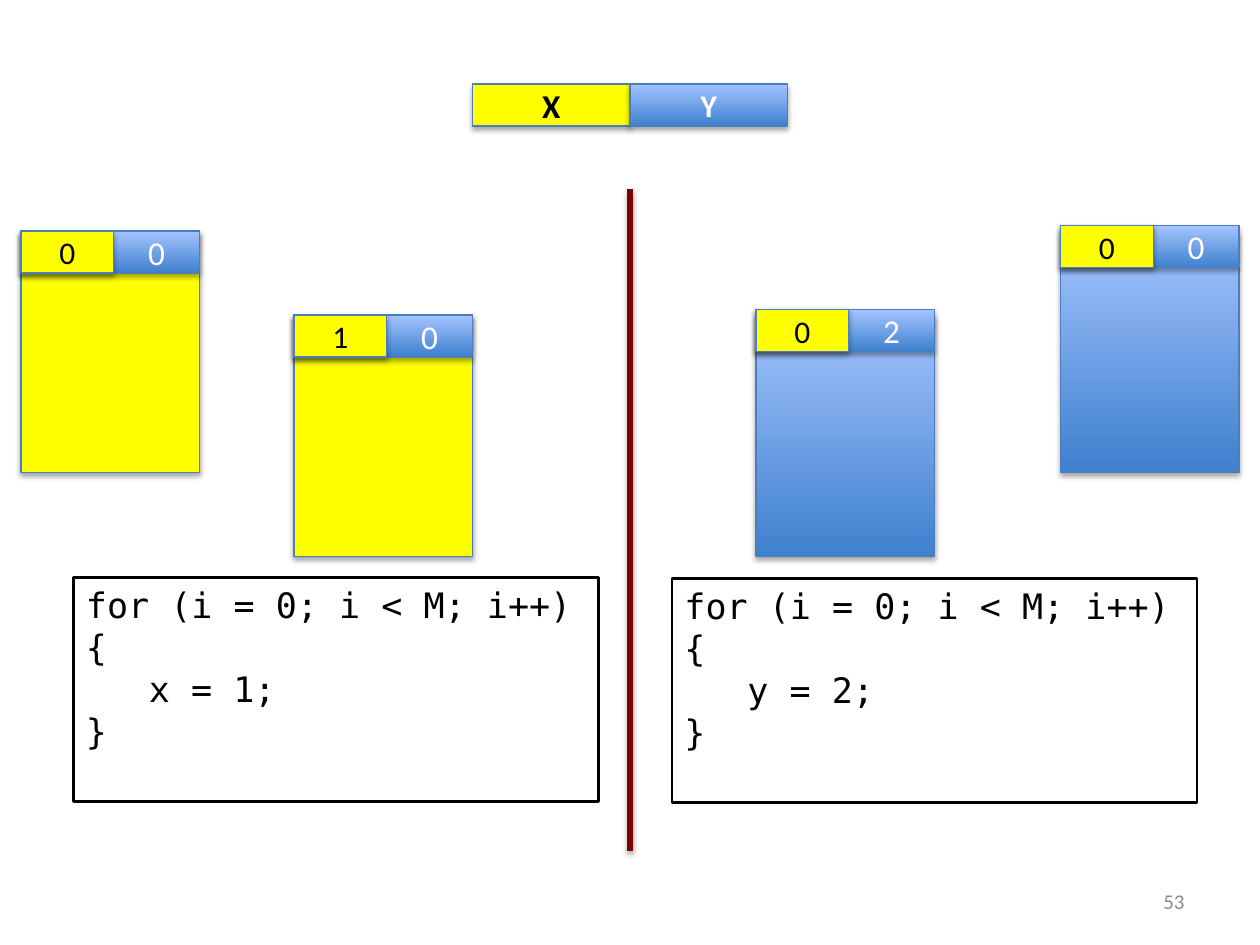
from lxml.etree import SubElement
from pptx import Presentation
from pptx.dml.color import RGBColor
from pptx.enum.shapes import MSO_CONNECTOR, MSO_SHAPE
from pptx.enum.text import MSO_ANCHOR, PP_ALIGN
from pptx.oxml.ns import qn
from pptx.util import Pt

BLACK = RGBColor(0x00, 0x00, 0x00)
WHITE = RGBColor(0xFF, 0xFF, 0xFF)
GRAY = RGBColor(0x8C, 0x8C, 0x8C)
YELLOW = RGBColor(0xFF, 0xFF, 0x00)
DARK_BLUE = RGBColor(0x3F, 0x80, 0xCE)
LIGHT_BLUE = RGBColor(0xA4, 0xC4, 0xFF)
OUTLINE = RGBColor(0x4B, 0x7E, 0xBC)
MAROON = RGBColor(0x80, 0x00, 0x00)
BLUE_GRADIENT = (DARK_BLUE, LIGHT_BLUE)

KEY = [("X", YELLOW, BLACK, 19), ("Y", BLUE_GRADIENT, WHITE, 18)]
BLOCKS = [
    (432, 180, BLUE_GRADIENT, -3, "0", "2"),
    (168, 180, YELLOW, 0, "1", "0"),
    (606, 132, BLUE_GRADIENT, -3, "0", "0"),
    (12, 132, YELLOW, 0, "0", "0"),
]
LOOPS = [(42, 330, "x = 1;"), (384, 330.5, "y = 2;")]

KEY_LEFT, KEY_TOP, KEY_WIDTH = 270, 48, 90
BLOCK_WIDTH, BLOCK_HEIGHT = 102, 138
HEADER_HEIGHT, X_WIDTH = 24, 53
DIGIT_WIDTH, DIGIT_HEIGHT = 24, 30


def add_shadow(shape, opacity):
    properties = shape._element.spPr
    effects = properties.find(qn("a:effectLst"))
    if effects is None:
        effects = SubElement(properties, qn("a:effectLst"))
    shadow = SubElement(effects, qn("a:outerShdw"), blurRad=str(Pt(3.1)), dist=str(Pt(1.8)),
                        dir="5400000", rotWithShape="0")
    color = SubElement(shadow, qn("a:srgbClr"), val=str(BLACK))
    SubElement(color, qn("a:alpha"), val=str(opacity * 1000))


def write(shape, lines, size, color, align=PP_ALIGN.CENTER, font="Calibri", bold=False):
    frame = shape.text_frame
    for index, line in enumerate(lines):
        paragraph = frame.paragraphs[0] if index == 0 else frame.add_paragraph()
        paragraph.text = line
        paragraph.alignment = align
        paragraph.font.name = font
        paragraph.font.size = Pt(size)
        paragraph.font.bold = bold
        paragraph.font.color.rgb = color


def add_box(shapes, left, top, width, height, fill):
    box = shapes.add_shape(MSO_SHAPE.RECTANGLE, Pt(left), Pt(top), Pt(width), Pt(height))
    if fill is BLUE_GRADIENT:
        box.fill.gradient()
        box.fill.gradient_angle = 90
        for stop, color in zip(box.fill.gradient_stops, fill):
            stop.color.rgb = color
    else:
        box.fill.solid()
        box.fill.fore_color.rgb = fill
    box.line.color.rgb = OUTLINE
    box.line.width = Pt(0.75)
    box.shadow.inherit = False
    add_shadow(box, 35)
    box.text_frame.vertical_anchor = MSO_ANCHOR.MIDDLE
    return box


def add_text(shapes, left, top, width, height, wrap=True):
    text_box = shapes.add_textbox(Pt(left), Pt(top), Pt(width), Pt(height))
    text_box.text_frame.word_wrap = wrap
    return text_box


def add_block(slide, left, top, fill, header_offset, x_value, y_value):
    shapes = slide.shapes.add_group_shape().shapes
    header_top = top + header_offset
    add_box(shapes, left, top, BLOCK_WIDTH, BLOCK_HEIGHT, fill)
    add_box(shapes, left, header_top, BLOCK_WIDTH, HEADER_HEIGHT, BLUE_GRADIENT)
    x_cell = add_box(shapes, left, header_top, X_WIDTH, HEADER_HEIGHT, YELLOW)
    write(x_cell, [x_value], 18, BLACK)
    y_left = left + (X_WIDTH + BLOCK_WIDTH - DIGIT_WIDTH) / 2
    y_top = header_top + (HEADER_HEIGHT - DIGIT_HEIGHT) / 2
    y_cell = add_text(shapes, y_left, y_top, DIGIT_WIDTH, DIGIT_HEIGHT, wrap=False)
    write(y_cell, [y_value], 19, WHITE)


def main():
    presentation = Presentation()
    presentation.slide_width, presentation.slide_height = Pt(720), Pt(540)
    slide = presentation.slides.add_slide(presentation.slide_layouts[6])

    number = add_text(slide.shapes, 516, 500.5, 168, 28.75)
    number.text_frame.vertical_anchor = MSO_ANCHOR.MIDDLE
    write(number, ["53"], 12, GRAY, PP_ALIGN.RIGHT)

    for index, (label, fill, color, size) in enumerate(KEY):
        cell = add_box(slide.shapes, KEY_LEFT + index * KEY_WIDTH, KEY_TOP,
                       KEY_WIDTH, HEADER_HEIGHT, fill)
        write(cell, [label], size, color, bold=True)

    divider = slide.shapes.add_connector(MSO_CONNECTOR.STRAIGHT, Pt(360), Pt(108), Pt(360), Pt(486))
    divider.line.color.rgb = MAROON
    divider.line.width = Pt(3)
    add_shadow(divider, 38)

    for left, top, statement in LOOPS:
        code = add_text(slide.shapes, left, top, 300, 128)
        code.line.color.rgb = BLACK
        code.line.width = Pt(1.5)
        write(code, ["for (i = 0; i < M; i++)", "{", "\t" + statement, "}"],
              20, BLACK, PP_ALIGN.LEFT, "DejaVu Sans Mono")

    for block in BLOCKS:
        add_block(slide, *block)

    presentation.save("out.pptx")


if __name__ == "__main__":
    main()
